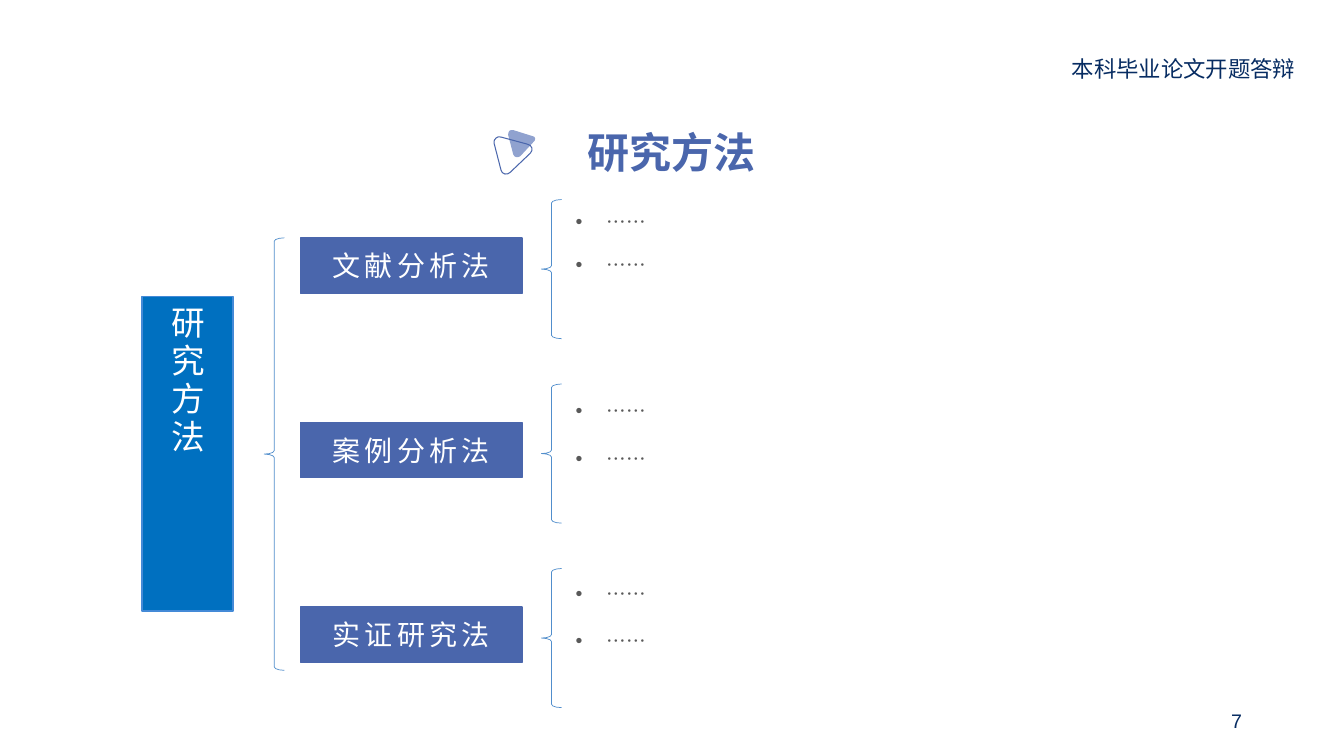
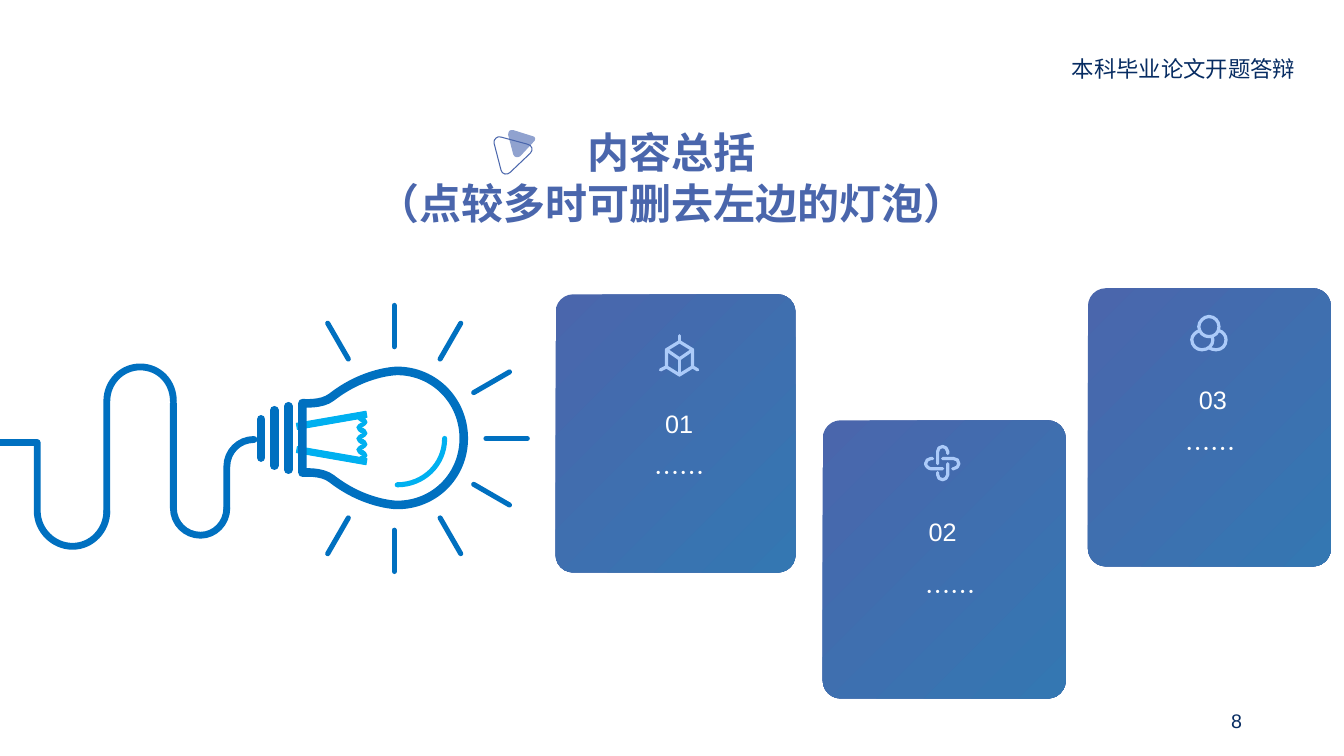
"""Builds two thesis defence slides: research methods and summary."""
from copy import deepcopy
from dataclasses import dataclass
from math import cos, radians, sin

from lxml import etree
from pptx import Presentation
from pptx.dml.color import RGBColor
from pptx.enum.shapes import MSO_CONNECTOR, MSO_SHAPE, PP_PLACEHOLDER
from pptx.enum.text import MSO_ANCHOR, MSO_AUTO_SIZE, PP_ALIGN
from pptx.oxml.ns import qn
from pptx.util import Pt

PX = 9144
LEFT, MID, RIGHT = PP_ALIGN.LEFT, PP_ALIGN.CENTER, PP_ALIGN.RIGHT
TOP, MIDDLE = MSO_ANCHOR.TOP, MSO_ANCHOR.MIDDLE
FIXED = MSO_AUTO_SIZE.NONE
RECT, ROUND, BRACE = MSO_SHAPE.RECTANGLE, MSO_SHAPE.ROUNDED_RECTANGLE, MSO_SHAPE.LEFT_BRACE
STRAIGHT = MSO_CONNECTOR.STRAIGHT
NUMBER = PP_PLACEHOLDER.SLIDE_NUMBER


@dataclass(frozen=True)
class Theme:
    """Colours, fonts and type styles of the deck."""
    main: str = "4A66AC"
    tint: str = "90A2CF"
    deep: str = "3477B2"
    blue: str = "0070C0"
    sky: str = "00B0F0"
    edge: str = "448AD7"
    brace: str = "518ECC"
    icon: str = "ACCBF9"
    latin: str = "Arial"
    asian: str = "Noto Sans CJK SC"
    title: tuple = (30, "Arial", "4A66AC")
    head: tuple = (16, "Arial", "072C62")
    page: tuple = (14, "Arial", "072C62")
    root: tuple = (24, "Noto Sans CJK SC", "FFFFFF")
    label: tuple = (20, "Noto Sans CJK SC", "FFFFFF")
    item: tuple = (14, "Noto Sans CJK SC", "595959")
    digit: tuple = (18, "Arial", "FFFFFF")
    dots: tuple = (18, "Noto Sans CJK SC", "FFFFFF")


THEME = Theme()
HEADER = "本科毕业论文开题答辩"
TOPIC = "研究方法"
SUMMARY = ["内容总括", "（点较多时可删去左边的灯泡）"]
METHODS = [
    ("文献分析法", ["……", "……"], (561, 196, 634, 81), 31, 3),
    ("案例分析法", ["……", "……"], (554, 384, 634, 85), 38, 6),
    ("实证研究法", ["……", "……"], (554, 565, 634, 85), 38, 6),
]
ROW_TOP, ROW_STEP = 198, 183

CUBE = ("M 674 339 L 687 347 L 687 364 L 674 372 L 661 364 L 661 347 Z "
        "M 674 333 L 674 339 M 661 347 L 674 356 L 687 347 M 687 364 L 692 367 "
        "M 655 367 L 661 364 M 674 356 L 674 372")
KNOT = ("M 930 460 L 930 448 C 930 445 932 443 935 443 C 937 443 940 445 940 448 L 940 450 "
        "M 940 460 L 940 471 C 940 474 937 476 935 476 C 932 476 930 474 930 471 L 930 469 "
        "M 935 465 L 923 465 C 921 465 918 462 918 460 C 918 457 921 455 923 455 L 925 455 "
        "M 935 455 L 946 455 C 949 455 951 457 951 460 C 951 462 949 465 946 465 L 945 465")
RINGS = ("M 1199 345 C 1201 346 1203 347 1206 347 C 1212 347 1216 343 1216 337 "
         "C 1216 333 1213 329 1209 328 "
         "M 1190 328 C 1186 329 1182 333 1182 337 C 1182 343 1187 347 1192 347 "
         "C 1198 347 1203 343 1203 337 C 1203 336 1202 335 1202 334 "
         "M 1199 334 C 1205 334 1209 330 1209 324 C 1209 319 1205 314 1199 314 "
         "C 1194 314 1189 319 1189 324 C 1189 330 1194 334 1199 334 Z")
CARDS = [
    ("01", (551, 292, 238, 276), (639, 405, 69, 25), (555, 446, 238, 90), CUBE),
    ("02", (816, 417, 241, 276), (898, 512, 74, 25), (817, 564, 252, 90), KNOT),
    ("03", (1079, 286, 241, 276), (1165, 381, 76, 25), (1090, 422, 221, 90), RINGS),
]

MARK_FILL = ("M 529 141 L 516 155 C 513 157 510 156 509 153 L 504 134 C 504 133 504 131 505 130 "
             "C 506 129 507 129 509 129 L 528 135 C 531 135 532 139 529 141 Z")
MARK_LINE = ("M 526 152 L 506 171 C 503 174 498 173 497 169 L 490 142 C 490 140 490 138 492 137 "
             "C 493 136 495 135 497 136 L 523 143 C 528 144 529 149 526 152 Z")
CORD = ("M 0 439 L 37 439 L 37 507 C 37 526 53 542 72 542 C 91 542 106 526 106 507 "
        "M 106 509 L 106 398 C 106 379 121 364 139 364 C 158 364 172 379 172 398 "
        "M 172 400 L 172 504 C 172 519 184 531 199 531 C 213 531 225 519 225 504 "
        "M 225 504 L 225 463 C 225 448 237 436 252 436")
GLASS = ("M 394 368 C 431 368 460 398 460 435 C 460 472 431 501 394 501 "
         "C 392 501 361 500 329 475 C 319 467 300 469 300 469 L 300 400 "
         "C 300 400 319 402 329 394 C 361 369 392 368 394 368 Z")
GLINT = "M 394 481 C 420 481 441 461 441 435"
PRONGS = ["M 294 449 L 295 443 L 364 455 L 363 461 Z",
          "M 294 420 L 363 408 L 364 414 L 295 426 Z"]
SCREW = [(286, 403, 466), (272, 407, 462), (259, 416, 454)]
HUB, NEAR, FAR = (391, 435), 91, 132


def coil():
    """Return the outline of the wavy filament."""
    rise = [f"C 354 {y - 2} 357 {y - 3} 358 {y - 4} C 359 {y - 4} 361 {y - 5} 361 {y - 5} "
            f"C 361 {y - 5} 359 {y - 6} 358 {y - 6} C 357 {y - 7} 354 {y - 8} 354 {y - 11}"
            for y in range(457, 413, -11)]
    fall = [f"C 357 {y} 359 {y + 1} 360 {y + 1} C 361 {y + 2} 364 {y + 3} 364 {y + 6} "
            f"C 364 {y + 8} 361 {y + 9} 360 {y + 10} C 359 {y + 10} 357 {y + 11} 357 {y + 11}"
            for y in range(413, 457, 11)]
    return " ".join(["M 354 457", *rise, "L 357 413", *fall, "Z"])


def rgb(code):
    """Turn a hex code into a colour."""
    return RGBColor.from_string(code)


def place(shape, box):
    """Move and size a shape in px."""
    shape.left, shape.top, shape.width, shape.height = (n * PX for n in box)
    return shape


def paint(shape, fill=None, line=None, weight=1):
    """Set fill and outline and drop the shadow."""
    shape.shadow.inherit = False
    if fill:
        shape.fill.solid()
        shape.fill.fore_color.rgb = rgb(fill)
    else:
        shape.fill.background()
    if line:
        shape.line.color.rgb = rgb(line)
        shape.line.width = Pt(weight)
    else:
        shape.line.fill.background()
    return shape


def soften(shape):
    """Give a stroke round ends and joins."""
    ln = shape.line._get_or_add_ln()
    ln.set("cap", "rnd")
    etree.SubElement(ln, qn("a:round"))


def write(shape, lines, style, align=LEFT, anchor=TOP, wrap=True, inset=None, bold=False, gap=0):
    """Fill a shape with styled paragraphs."""
    frame = shape.text_frame
    frame.text = "\n".join(lines)
    frame.auto_size, frame.word_wrap, frame.vertical_anchor = FIXED, wrap, anchor
    if inset is not None:
        frame.margin_left = frame.margin_right = frame.margin_top = frame.margin_bottom = inset
    size, face, color = style
    for para in frame.paragraphs:
        para.alignment = align
        for run in para.runs:
            font = run.font
            font.size, font.name, font.bold = Pt(size), face, bold
            font.color.rgb = rgb(color)
            props = font._element
            etree.SubElement(props, qn("a:ea")).set("typeface", THEME.asian)
            if gap:
                props.set("spc", str(gap * 100))
    return frame


def label(shapes, box, text, style, **look):
    """Add a text box without insets."""
    return write(place(shapes.add_textbox(0, 0, 0, 0), box), [text], style, inset=0, **look)


def block(shapes, kind, box):
    """Add a preset shape in px."""
    return shapes.add_shape(kind, *(n * PX for n in box))


def trace(shapes, route, fill=None, line=None, weight=1):
    """Add a freeform from M, L, C and Z steps."""
    steps = []
    for word in route.split():
        if word.isalpha():
            steps.append((word, []))
        else:
            steps[-1][1].append(int(word))
    steps = [(verb, list(zip(nums[::2], nums[1::2]))) for verb, nums in steps]
    pen = shapes.build_freeform(*steps[0][1][0], scale=PX)
    for verb, dots in steps[1:]:
        pen.add_line_segments(dots, close=verb == "Z")
    shape = pen.convert_to_shape()
    track = shape.element.find(".//" + qn("a:path"))
    nodes = iter(list(track))
    for verb, dots in steps:
        used = [next(nodes) for _ in dots or [None]]
        if verb == "C":
            used[0].tag = qn("a:cubicBezTo")
            for node in used[1:]:
                used[0].append(node[0])
                track.remove(node)
    paint(shape, fill, line, weight)
    if line:
        soften(shape)


def stroke(shapes, start, end, color, weight):
    """Add a straight line with round ends."""
    line = shapes.add_connector(STRAIGHT, *(round(n * PX) for n in (*start, *end)))
    line.line.color.rgb = rgb(color)
    line.line.width = Pt(weight)
    soften(line)
    etree.SubElement(line.element.spPr, qn("a:effectLst"))


def sketch(shapes, routes, color, weight):
    """Draw each part of a route as its own stroke."""
    for part in routes.split("M")[1:]:
        words = part.split()
        if len(words) == 5:
            nums = [int(word) for word in words if word.isdigit()]
            stroke(shapes, nums[:2], nums[2:], color, weight)
        else:
            trace(shapes, "M" + part, line=color, weight=weight)


def brace(shapes, box):
    """Add a thin left brace."""
    shape = paint(block(shapes, BRACE, box), line=THEME.brace, weight=0.5)
    shape.adjustments[0] = 0.171


def share(deck, slide):
    """Put the running header and title mark on the master."""
    head = slide.shapes.add_textbox(0, 0, 0, 0)
    write(place(head, (1063, 55, 222, 34)), [HEADER], THEME.head, wrap=False, inset=0)
    mark = slide.shapes.add_group_shape()
    trace(mark.shapes, MARK_FILL, fill=THEME.tint)
    trace(mark.shapes, MARK_LINE, line=THEME.main, weight=0.75)
    for shape in (head, mark):
        deck.slide_master.shapes.element.append(shape.element)


def start(deck, layout, title, page):
    """Add a slide with its title and page number."""
    slide = deck.slides.add_slide(deck.slide_layouts[layout])
    write(place(slide.shapes.title, (366, 126, 601, 50)), title, THEME.title,
          align=MID, inset=0, bold=True)
    source = next(p for p in slide.slide_layout.placeholders if p.placeholder_format.type == NUMBER)
    slide.shapes.element.append(deepcopy(source.element))
    write(place(slide.shapes[-1], (942, 695, 300, 40)), [str(page)], THEME.page, RIGHT, MIDDLE)
    return slide


def bullets(shape, items, box, margin, after):
    """Fill a body placeholder with a bulleted list."""
    for para in write(place(shape, box), items, THEME.item).paragraphs:
        para.line_spacing, para.space_before, para.space_after = 1.3, Pt(6), Pt(after)
        props = para._p.get_or_add_pPr()
        props.set("marL", str(margin * PX))
        props.set("indent", str(-31 * PX))
        etree.SubElement(props, qn("a:buFont")).set("typeface", THEME.latin)
        etree.SubElement(props, qn("a:buChar")).set("char", "•")


def methods(slide):
    """Draw the tree of research methods."""
    shapes = slide.shapes
    root = paint(block(shapes, RECT, (141, 294, 90, 312)), THEME.blue, THEME.edge)
    frame = write(root, [TOPIC], THEME.root, MID, MIDDLE, gap=3)
    frame._txBody.bodyPr.set("vert", "eaVert")
    brace(shapes, (262, 236, 20, 429))
    bodies = [p for p in slide.placeholders if 0 < p.placeholder_format.idx < 5]
    for row, (name, items, box, margin, after) in enumerate(METHODS):
        top = ROW_TOP + row * ROW_STEP
        tag = paint(block(shapes, RECT, (298, top + 38, 220, 55)), THEME.main, THEME.main)
        write(tag, [name], THEME.label, MID, MIDDLE, gap=3)
        brace(shapes, (537, top, 20, 138))
        bullets(bodies[row], items, box, margin, after)
    for spare in bodies[len(METHODS):]:
        spare.element.getparent().remove(spare.element)


def card(shapes, digit, box, digit_box, dots_box, icon):
    """Draw one numbered gradient card."""
    panel = block(shapes, ROUND, box)
    paint(panel).adjustments[0] = 0.074
    panel.fill.gradient()
    panel.fill.gradient_angle = 315
    for stop, color in zip(panel.fill.gradient_stops, (THEME.main, THEME.deep)):
        stop.color.rgb = rgb(color)
    sketch(shapes, icon, THEME.icon, 2.31)
    label(shapes, digit_box, digit, THEME.digit, align=MID, wrap=False)
    label(shapes, dots_box, "……", THEME.dots, align=MID).paragraphs[0].line_spacing = 1.25


def bulb(shapes):
    """Draw the light bulb with its rays and cord."""
    for turn in range(-120, 121, 30):
        way = cos(radians(turn)), sin(radians(turn))
        ends = [[c + reach * w for c, w in zip(HUB, way)] for reach in (NEAR, FAR)]
        stroke(shapes, *ends, THEME.blue, 3.63)
    trace(shapes, GLINT, line=THEME.sky, weight=3.63)
    for route in (*PRONGS, coil()):
        trace(shapes, route, THEME.sky, THEME.sky, 0.75)
    trace(shapes, GLASS, line=THEME.blue, weight=6.13)
    for x, top, base in SCREW:
        stroke(shapes, (x, top), (x, base), THEME.blue, 6.13)
    sketch(shapes, CORD, THEME.blue, 4.88)


def main():
    """Build and save the deck."""
    deck = Presentation()
    deck.slide_width, deck.slide_height = 1333 * PX, 750 * PX
    first = start(deck, 4, [TOPIC], 7)
    share(deck, first)
    methods(first)
    second = start(deck, 5, SUMMARY, 8)
    for entry in CARDS:
        card(second.shapes.add_group_shape().shapes, *entry)
    bulb(second.shapes.add_group_shape().shapes)
    deck.save("out.pptx")


if __name__ == "__main__":
    main()
